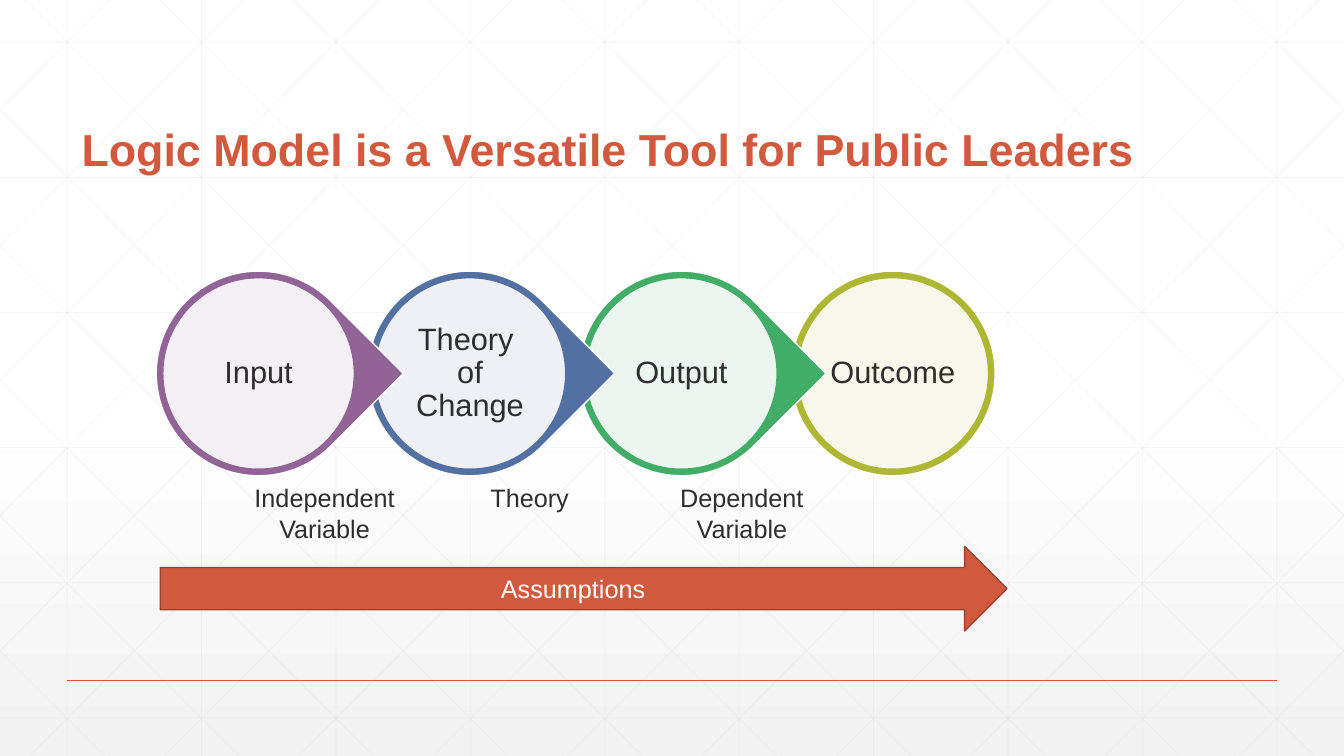
"""Builds a slide showing a logic model as a chain of four linked circles."""
from dataclasses import dataclass

from pptx import Presentation
from pptx.dml.color import RGBColor
from pptx.enum.shapes import MSO_CONNECTOR, MSO_SHAPE
from pptx.enum.text import MSO_ANCHOR, MSO_AUTO_SIZE, PP_ALIGN
from pptx.oxml.ns import qn
from pptx.oxml.xmlchemy import OxmlElement
from pptx.shapes.autoshape import Shape
from pptx.slide import Slide
from pptx.text.text import TextFrame
from pptx.util import Inches, Pt

STRAIGHT = MSO_CONNECTOR.STRAIGHT
ELLIPSE, TEARDROP, RIGHT_ARROW = MSO_SHAPE.OVAL, MSO_SHAPE.TEAR, MSO_SHAPE.RIGHT_ARROW
LEFT, CENTER = PP_ALIGN.LEFT, PP_ALIGN.CENTER
TOP, MIDDLE, BOTTOM = MSO_ANCHOR.TOP, MSO_ANCHOR.MIDDLE, MSO_ANCHOR.BOTTOM
GROW = MSO_AUTO_SIZE.SHAPE_TO_FIT_TEXT

WHITE = RGBColor(0xFF, 0xFF, 0xFF)
PALE_GREY = RGBColor(0xF2, 0xF2, 0xF2)
GRID_GREY = RGBColor(0xD9, 0xD9, 0xD9)
INK = RGBColor(0x2D, 0x2E, 0x2D)
RUST = RGBColor(0xD1, 0x5A, 0x3E)
DARK_RUST = RGBColor(0x9B, 0x43, 0x2E)
PURPLE = RGBColor(0x92, 0x63, 0x97)
BLUE = RGBColor(0x52, 0x70, 0xA2)
GREEN = RGBColor(0x42, 0xAD, 0x67)
OLIVE = RGBColor(0xAE, 0xB7, 0x33)

FONT = "Arial"
SLIDE_WIDTH, SLIDE_HEIGHT = Inches(40 / 3), Inches(7.5)
COLUMN, ROW = SLIDE_WIDTH / 100, SLIDE_HEIGHT / 100

GRID_STEP, GRID_ROW_STEP = 10, 17.87
FIRST_COLUMN, FIRST_ROW = 5, 5.6
FIRST_DIAGONAL, DIAGONAL_DRIFT = 1.88, 55.9

FIRST_CENTER, CENTER_STEP, CENTER_ROW = 19.24, 15.73, 49.4
DISC_SIZE, RING_SIZE, LABEL_SIZE = 15.23, 14.25, 10.13


@dataclass(frozen=True)
class Box:
    """A rectangle in columns and rows, each a hundredth of the slide."""
    left: float
    top: float
    width: float
    height: float

    def lengths(self) -> tuple[int, int, int, int]:
        """Returns the rectangle in slide units."""
        return (round(self.left * COLUMN), round(self.top * ROW),
                round(self.width * COLUMN), round(self.height * ROW))


@dataclass(frozen=True)
class TextStyle:
    """How a text looks and sits in its frame."""
    size: float
    color: RGBColor = INK
    bold: bool = False
    align: PP_ALIGN = CENTER
    anchor: MSO_ANCHOR = MIDDLE
    spacing: float = 1.0


@dataclass(frozen=True)
class Stage:
    """One circle of the chain."""
    label: str
    color: RGBColor
    outline: MSO_SHAPE = TEARDROP


@dataclass(frozen=True)
class Caption:
    """A note below the chain."""
    text: str
    box: Box


TITLE_STYLE = TextStyle(32, RUST, True, LEFT, BOTTOM, 0.9)
LABEL_STYLE = TextStyle(22, spacing=0.9)
CAPTION_STYLE = TextStyle(18, anchor=TOP)
ARROW_STYLE = TextStyle(18, WHITE)

TITLE = Caption("Logic Model is a Versatile Tool for Public Leaders",
                Box(5.33, 7.33, 84.08, 16.67))
ASSUMPTIONS = Caption("Assumptions", Box(11.93, 72.27, 63, 11.2))
STAGES = [
    Stage("Input", PURPLE),
    Stage("Theory \nof Change", BLUE),
    Stage("Output", GREEN),
    Stage("Outcome", OLIVE, ELLIPSE),
]
CAPTIONS = [
    Caption("Independent\nVariable", Box(18.15, 63.2, 12, 9.47)),
    Caption("Theory", Box(35.7, 63.2, 7.43, 5.33)),
    Caption("Dependent\nVariable", Box(49.8, 63.2, 10.8, 9.47)),
]


def centered_square(column: float, size: float) -> Box:
    """Returns a square, size columns wide, centred on the chain."""
    height = size * COLUMN / ROW
    return Box(column - size / 2, CENTER_ROW - height / 2, size, height)


def set_opacity(shape, percent: int) -> None:
    """Sets the opacity of the first colour of a shape."""
    alpha = OxmlElement("a:alpha")
    alpha.set("val", str(percent * 1000))
    next(shape._element.spPr.iter(qn("a:srgbClr"))).append(alpha)


def write_text(frame: TextFrame, text: str, style: TextStyle) -> None:
    """Writes one paragraph, with a line break at each newline."""
    frame.vertical_anchor = style.anchor
    paragraph = frame.paragraphs[0]
    paragraph.alignment = style.align
    paragraph.line_spacing = style.spacing
    for index, line in enumerate(text.split("\n")):
        if index:
            paragraph.add_line_break()
        run = paragraph.add_run()
        run.text = line
        run.font.name, run.font.size = FONT, Pt(style.size)
        run.font.bold, run.font.color.rgb = style.bold, style.color


def add_text(slide: Slide, caption: Caption, style: TextStyle, wrap: bool = True) -> TextFrame:
    """Adds a text box and returns its frame."""
    frame = slide.shapes.add_textbox(*caption.box.lengths()).text_frame
    frame.word_wrap = wrap
    write_text(frame, caption.text, style)
    return frame


def add_figure(slide: Slide, kind: MSO_SHAPE, box: Box, fill: RGBColor,
               line: RGBColor, opacity: int = 100) -> Shape:
    """Adds a filled shape with a thin outline."""
    shape = slide.shapes.add_shape(kind, *box.lengths())
    shape.shadow.inherit = False
    shape.fill.solid()
    shape.fill.fore_color.rgb = fill
    if opacity < 100:
        set_opacity(shape, opacity)
    shape.line.color.rgb, shape.line.width = line, Pt(1)
    return shape


def add_line(slide: Slide, start: tuple[float, float], end: tuple[float, float],
             color: RGBColor = GRID_GREY, width: float = 0.5, opacity: int = 25) -> None:
    """Adds a straight line between two points given in columns and rows."""
    connector = slide.shapes.add_connector(
        STRAIGHT, round(start[0] * COLUMN), round(start[1] * ROW),
        round(end[0] * COLUMN), round(end[1] * ROW))
    connector.line.color.rgb, connector.line.width = color, Pt(width)
    set_opacity(connector, opacity)
    connector._element.spPr.append(OxmlElement("a:effectLst"))


def add_background(slide: Slide) -> None:
    """Fills the background and draws the grid with its diagonals."""
    fill = slide.background.fill
    fill.gradient()
    fill.gradient_angle = 270
    for stop, color, position in zip(fill.gradient_stops, (WHITE, PALE_GREY), (0.53, 1)):
        stop.color.rgb, stop.position = color, position
    for index in range(10):
        column = FIRST_COLUMN + index * GRID_STEP
        add_line(slide, (column, 0), (column, 100))
    for index in range(6):
        row = FIRST_ROW + index * GRID_ROW_STEP
        add_line(slide, (0, row), (100, row))
    for index in range(-5, 10):
        origin = FIRST_DIAGONAL + index * GRID_STEP
        start, end = max(origin, 0), min(origin + DIAGONAL_DRIFT, 100)
        start_row, end_row = ((x - origin) / DIAGONAL_DRIFT * 100 for x in (start, end))
        add_line(slide, (start, start_row), (end, end_row))
        add_line(slide, (100 - start, start_row), (100 - end, end_row))
    add_line(slide, (5, 90), (95, 90), RUST, 1, 100)


def add_stage(slide: Slide, stage: Stage, column: float) -> None:
    """Adds a coloured disc, its pale inner circle and its label."""
    disc = add_figure(slide, stage.outline, centered_square(column, DISC_SIZE),
                      stage.color, WHITE)
    if stage.outline == TEARDROP:
        disc.rotation = 45
    add_figure(slide, ELLIPSE, centered_square(column, RING_SIZE), WHITE, stage.color, 90)
    label = Caption(stage.label, centered_square(column, LABEL_SIZE))
    frame = add_text(slide, label, LABEL_STYLE)
    frame.margin_left = frame.margin_right = Inches(0.03)
    frame.margin_top = frame.margin_bottom = Inches(0.03)


def main() -> None:
    """Builds and saves the presentation."""
    presentation = Presentation()
    presentation.slide_width, presentation.slide_height = SLIDE_WIDTH, SLIDE_HEIGHT
    slide = presentation.slides.add_slide(presentation.slide_layouts[6])
    add_background(slide)
    add_text(slide, TITLE, TITLE_STYLE)
    for index, stage in reversed(list(enumerate(STAGES))):
        add_stage(slide, stage, FIRST_CENTER + index * CENTER_STEP)
    for caption in CAPTIONS:
        add_text(slide, caption, CAPTION_STYLE, wrap=False).auto_size = GROW
    arrow = add_figure(slide, RIGHT_ARROW, ASSUMPTIONS.box, RUST, DARK_RUST)
    write_text(arrow.text_frame, ASSUMPTIONS.text, ARROW_STYLE)
    presentation.save("out.pptx")


if __name__ == "__main__":
    main()
